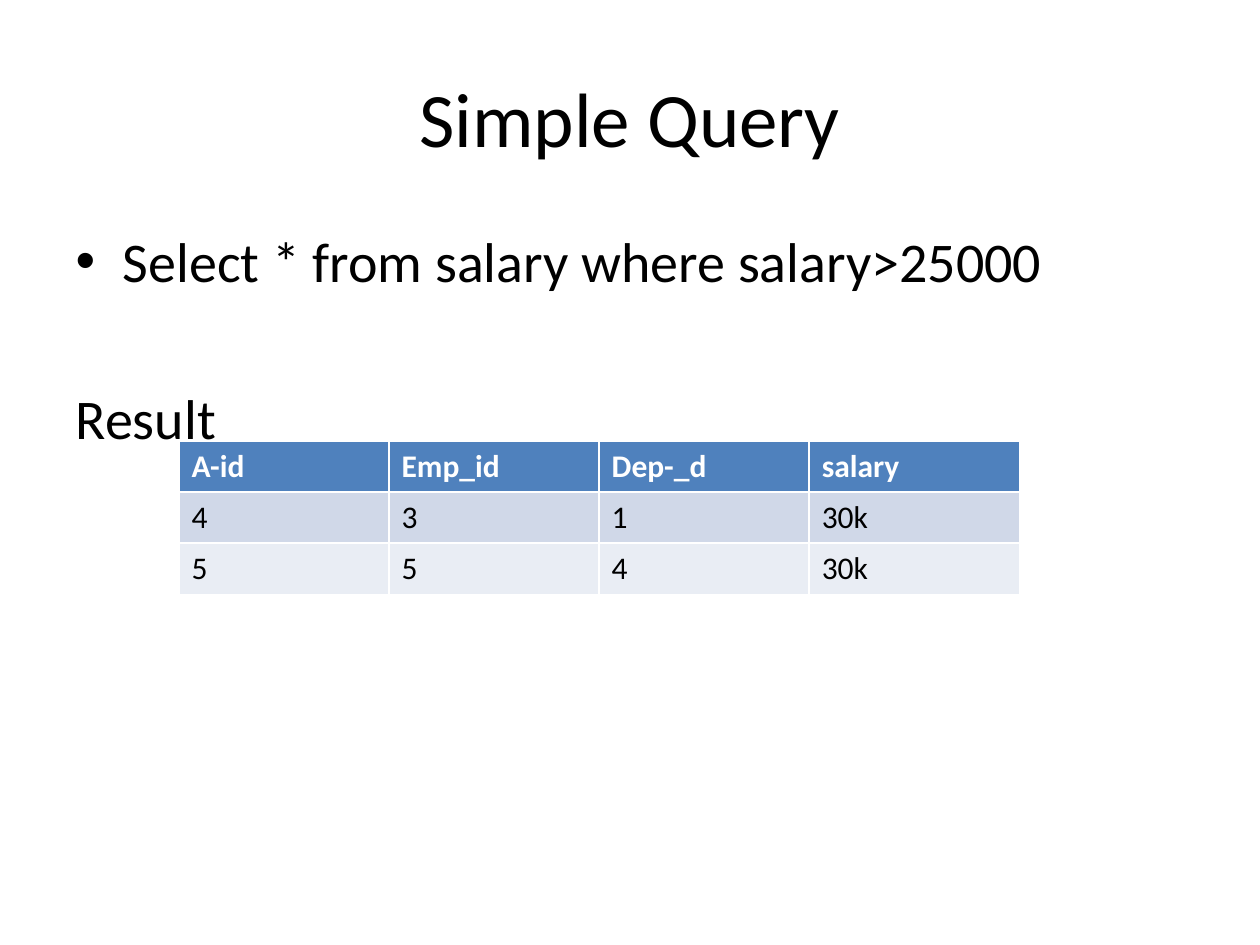
import pptx
import pptx.util
import pptx.dml.color
import pptx.enum.text
import lxml.etree

Inches, Pt = pptx.util.Inches, pptx.util.Pt
theme = {
    "font": "Calibri",
    "ink": "000000", "light": "FFFFFF",
    "fills": ["4F81BD", "D0D8E8", "E9EDF4"],
    "title": 44, "body": 32, "cell": 18,
}


def color(code):
    return pptx.dml.color.RGBColor.from_string(code)


def style(para, size, ink, bold=False):
    for run in para.runs:
        run.font.name = theme["font"]
        run.font.size = Pt(size)
        run.font.bold = bold
        run.font.color.rgb = color(ink)


deck = pptx.Presentation()
deck.slide_width, deck.slide_height = Inches(10), Inches(7.5)
slide = deck.slides.add_slide(deck.slide_layouts[1])

title, body = slide.placeholders
places = [(title, 0.3, 1.25), (body, 1.75, 4.95)]
for holder, top, height in places:
    holder.left, holder.top = Inches(0.5), Inches(top)
    holder.width, holder.height = Inches(9), Inches(height)

title.text_frame.text = "Simple Query"
title.text_frame.paragraphs[0].alignment = pptx.enum.text.PP_ALIGN.CENTER
style(title.text_frame.paragraphs[0], theme["title"], theme["ink"])

body.text_frame.text = "Select * from salary where salary>25000\nResult"
for para in body.text_frame.paragraphs:
    style(para, theme["body"], theme["ink"])
query, result = body.text_frame.paragraphs
result.space_before = Pt(51)
props = result._p.get_or_add_pPr()
props.set("marL", "0")
props.set("indent", "0")
lxml.etree.SubElement(props, pptx.oxml.ns.qn("a:buNone"))

rows = [
    ["A-id", "Emp_id", "Dep-_d", "salary"],
    ["4", "3", "1", "30k"],
    ["5", "5", "4", "30k"],
]
table = slide.shapes.add_table(
    len(rows), len(rows[0]),
    Inches(1.42), Inches(3.5), Inches(6.67), Inches(1.21),
).table
for r, row in enumerate(rows):
    head = r == 0
    for c, text in enumerate(row):
        cell = table.cell(r, c)
        cell.text_frame.text = text
        cell.fill.solid()
        cell.fill.fore_color.rgb = color(theme["fills"][r])
        ink = theme["light"] if head else theme["ink"]
        style(cell.text_frame.paragraphs[0], theme["cell"], ink, head)

deck.save("out.pptx")
